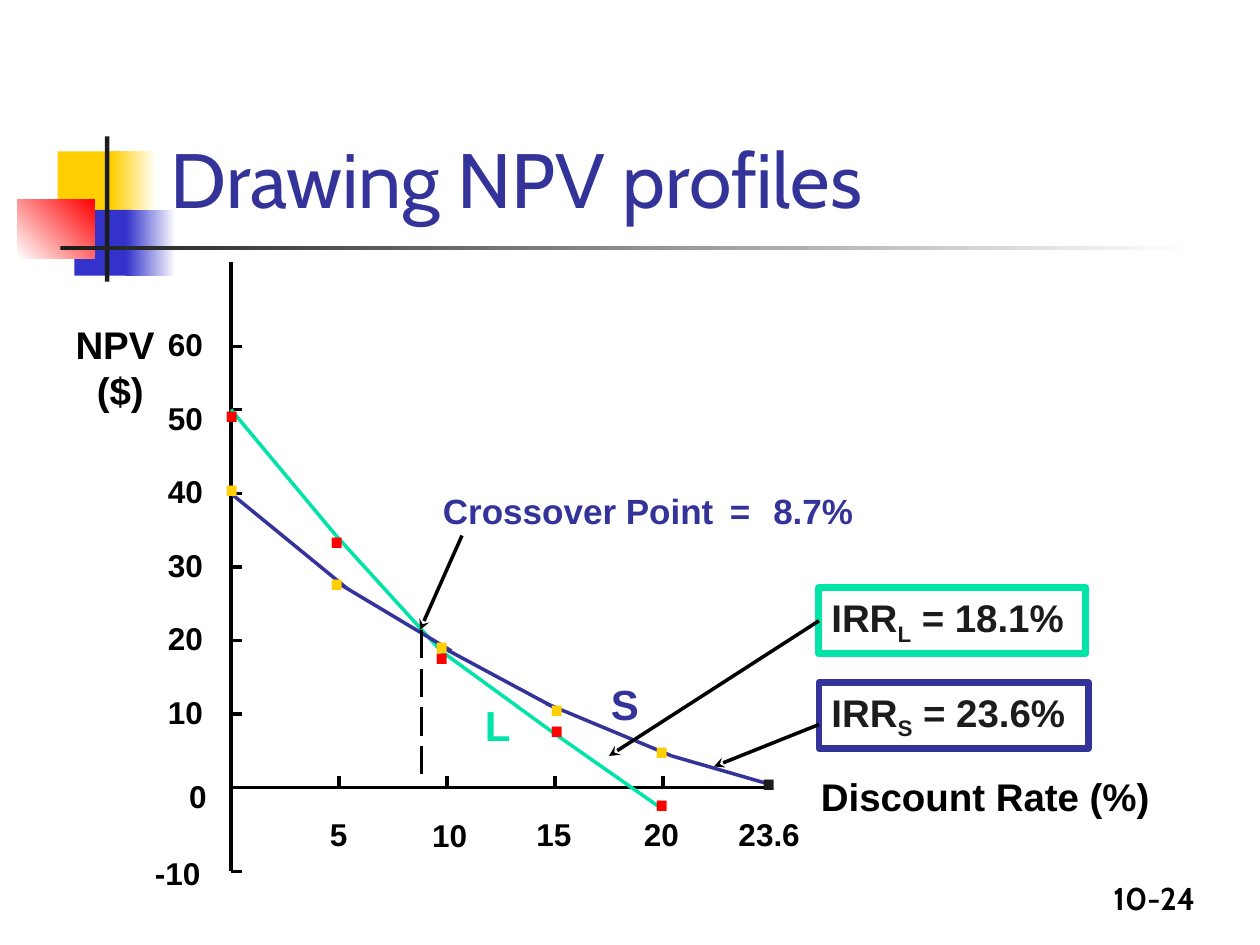
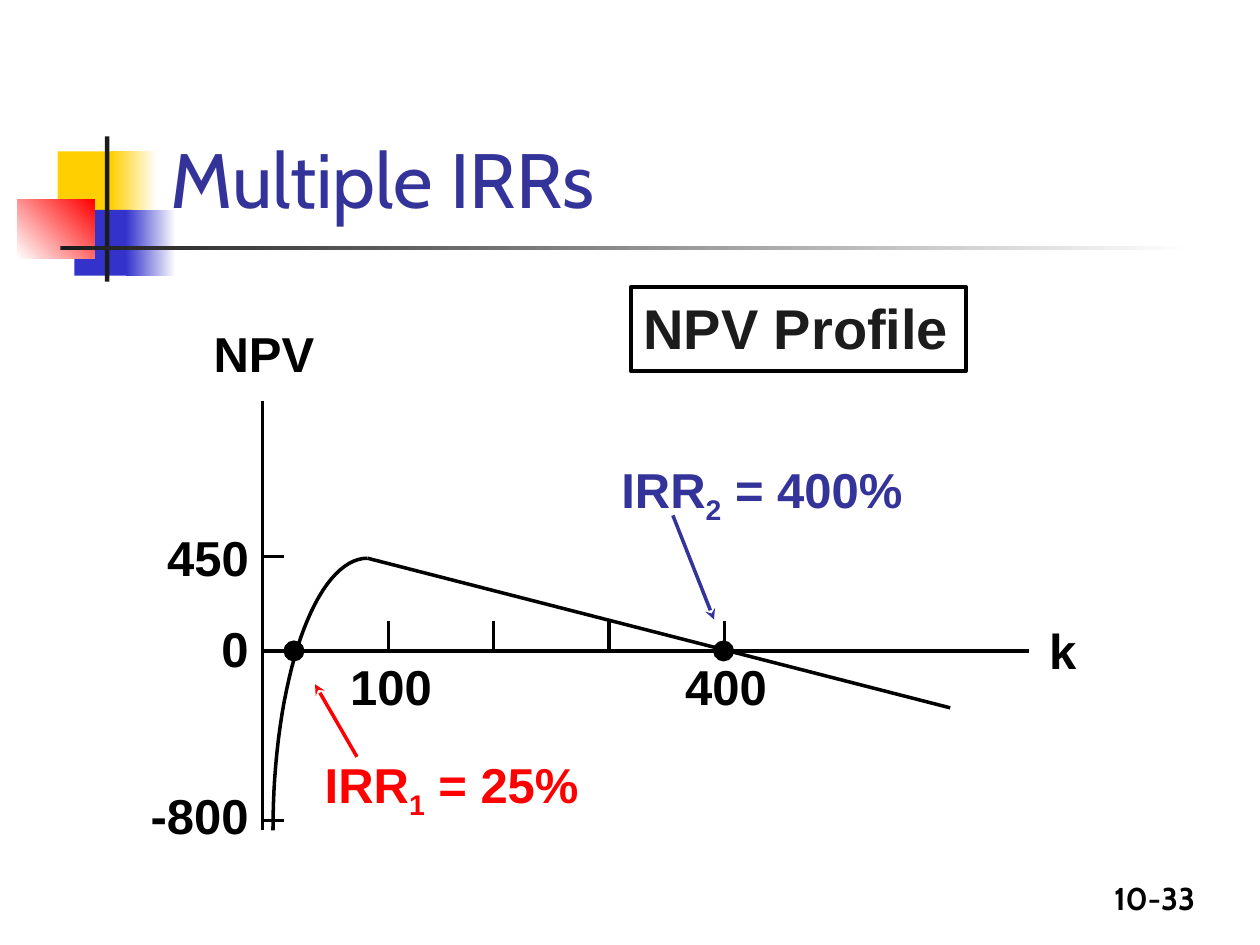
from dataclasses import dataclass
from itertools import pairwise
from math import cos, pi, sin

from lxml.etree import SubElement
from pptx import Presentation
from pptx.dml.color import RGBColor
from pptx.enum.dml import MSO_LINE
from pptx.enum.shapes import MSO_CONNECTOR, MSO_SHAPE
from pptx.enum.text import MSO_ANCHOR, MSO_AUTO_SIZE, PP_ALIGN
from pptx.oxml.ns import qn
from pptx.util import Pt


@dataclass(frozen=True)
class Theme:
    black: str = "000000"
    white: str = "FFFFFF"
    ink: str = "1C1C1C"
    navy: str = "333399"
    blue: str = "3333CC"
    gold: str = "FFCF01"
    red: str = "FF0000"
    mint: str = "00E4A8"
    title_font: str = "Cabin"
    body_font: str = "Arial"
    title: int = 44
    dot: int = 40
    heading: int = 32
    formula: int = 28
    series: int = 24
    caption: int = 22
    callout: int = 20
    small: int = 18
    line: float = 2
    frame: float = 4


@dataclass(frozen=True)
class Box:
    left: float
    top: float
    width: float
    height: float

    def inner(self, left, top, width, height):
        return Box(self.left + left, self.top + top, width, height)

    def point(self, x, y):
        return Pt(self.left + x), Pt(self.top + y)

    def lengths(self):
        return Pt(self.left), Pt(self.top), Pt(self.width), Pt(self.height)


THEME = Theme()
SUBSCRIPT = {"baseline": "-25000"}
WIDE = {"spc": "370"}


def color(code):
    return RGBColor.from_string(code)


def write(shape, paragraphs, size, ink, font=THEME.body_font, bold=True,
          align=PP_ALIGN.LEFT, anchor=MSO_ANCHOR.TOP, wrap=False, grow=True, inset=True):
    frame = shape.text_frame
    frame.word_wrap = wrap
    frame.auto_size = MSO_AUTO_SIZE.SHAPE_TO_FIT_TEXT if grow else MSO_AUTO_SIZE.NONE
    frame.vertical_anchor = anchor
    if not inset:
        frame.margin_left = frame.margin_right = frame.margin_top = frame.margin_bottom = 0
    for index, spans in enumerate(paragraphs):
        para = frame.add_paragraph() if index else frame.paragraphs[0]
        para.alignment = align
        para.font.name, para.font.size, para.font.bold = font, Pt(size), bold
        para.font.color.rgb = color(ink)
        for text, attributes in spans:
            span = para.add_run()
            span.text = text
            for name, value in attributes.items():
                span._r.get_or_add_rPr().set(name, value)


def plain(*lines):
    return [[(line, {})] for line in lines]


def irr(index, value):
    return [[("IRR", {}), (index, SUBSCRIPT), (f" = {value}", {})]]


def add_text(page, box, paragraphs, size, ink=THEME.black, **options):
    write(page.shapes.add_textbox(*box.lengths()), paragraphs, size, ink, **options)


def add_block(page, box, fill, kind=MSO_SHAPE.RECTANGLE, edge=None, weight=1):
    shape = page.shapes.add_shape(kind, *box.lengths())
    shape.shadow.inherit = False
    shape.fill.solid()
    shape.fill.fore_color.rgb = color(fill)
    if edge:
        shape.line.color.rgb = color(edge)
        shape.line.width = Pt(weight)
    else:
        shape.line.fill.background()
    return shape


def add_fade(page, box, start, end=THEME.white, angle=0):
    fill = add_block(page, box, start).fill
    fill.gradient()
    fill.gradient_angle = angle
    for stop, code in zip(fill.gradient_stops, (start, end)):
        stop.color.rgb = color(code)


def add_line(page, box, start, end, ink=THEME.black, arrow=False, dash=None):
    line = page.shapes.add_connector(
        MSO_CONNECTOR.STRAIGHT, *box.point(*start), *box.point(*end))
    line.line.color.rgb = color(ink)
    line.line.width = Pt(THEME.line)
    if dash:
        line.line.dash_style = dash
    properties = line._element.spPr
    if arrow:
        SubElement(properties.find(qn("a:ln")), qn("a:tailEnd"), type="stealth")
    SubElement(properties, qn("a:effectLst"))
    return line


def add_emblem(page, box):
    add_block(page, box.inner(23, 8.5, 34.5, 37.5), THEME.gold)
    add_fade(page, box.inner(53.5, 8.5, 26, 37.5), THEME.gold)
    add_block(page, box.inner(32.5, 42, 33, 37.5), THEME.blue)
    add_fade(page, box.inner(62, 42, 28.5, 37.5), THEME.blue)
    add_fade(page, box.inner(0, 36, 44, 33.5), THEME.white, THEME.red, 45)
    add_block(page, box.inner(50, 0, 2.5, 83), THEME.ink)
    add_fade(page, box.inner(24.5, 62.5, 648, 2.5), THEME.ink)


def add_page(deck, title, number):
    page = deck.slides.add_slide(deck.slide_layouts[6])
    add_emblem(page, Box(10, 78, 673, 83))
    add_text(page, Box(540, 498.5, 150, 29), plain(number), THEME.small,
             font=THEME.title_font, align=PP_ALIGN.RIGHT, wrap=True)
    add_text(page, Box(90.5, 16.5, 613.5, 115), plain(title), THEME.title, THEME.navy,
             font=THEME.title_font, bold=False, anchor=MSO_ANCHOR.BOTTOM,
             wrap=True, grow=False)
    return page


def add_profile_axes(page, box):
    zero, tick, step = 300, 6.5, 61.75
    add_line(page, box, (0, 0), (0, box.height))
    for y in (box.height, *range(zero, 131, -42), 84, 48):
        add_line(page, box, (0, y), (tick, y))
    add_line(page, box, (0, zero), (box.width, zero))
    for index in range(5):
        add_line(page, box, (index * step, zero), (index * step, zero - tick))

    tens = [(str(10 * n), -36, 288 - 42 * n, 20) for n in range(1, 7)]
    rates = [("5", 56.5, 316, 10), ("10", 115, 316.5, 20), ("15", 174.5, 316, 20),
             ("20", 236, 316, 20), ("23.6", 290, 316, 35)]
    for text, left, top, width in [("-10", -43.5, 338, 26), ("0", -24, 294, 10)] + tens + rates:
        add_text(page, box.inner(left, top, width, 21.5), plain(text), THEME.small, inset=False)
    add_text(page, box.inner(-96, 30, 65.5, 60), plain("NPV ", "($)"), THEME.caption,
             align=PP_ALIGN.CENTER)
    add_text(page, box.inner(330, 288, 203, 34), plain("Discount Rate (%)"), THEME.caption)


def add_profile_curves(page, box):
    long_project = [(0, 84), (60, 156), (120, 222), (186, 270), (246, 312)]
    short_project = [((0, 132), (66, 186)), ((60, 182.5), (126, 222)),
                     ((120, 219.5), (187, 255.5)), ((180, 252), (252, 282)),
                     ((252, 282), (309, 298.5))]
    for start, end in pairwise(long_project):
        add_line(page, box, start, end, THEME.mint)
    for start, end in short_project:
        add_line(page, box, start, end, THEME.navy)


def add_profile_dots(page, box):
    dots = {
        THEME.red: [(-12, 48), (48, 120), (108, 186), (174, 228), (234, 270)],
        THEME.gold: [(-12, 90), (48, 144), (108, 180), (174, 216), (234, 240)],
        THEME.ink: [(295, 258)],
    }
    for ink, places in dots.items():
        for left, top in places:
            add_text(page, box.inner(left, top, 26, 55.5), plain("."), THEME.dot, ink)


def add_profile_notes(page, box):
    frames = []
    for index, value, top, width, edge in (("L", "18.1%", 186, 152.5, THEME.mint),
                                           ("S", "23.6%", 240, 154, THEME.navy)):
        frame = add_block(page, box.inner(336, top, width, 37.5), THEME.white,
                          edge=edge, weight=THEME.frame)
        write(frame, irr(index, value), THEME.caption, THEME.ink)
        frames.append(frame)
    add_text(page, box.inner(114, 126, 300, 31),
             [[("Crossover Point", {}), (" = ", WIDE), ("8.7%", {})]],
             THEME.callout, THEME.navy, wrap=True)
    add_line(page, box, (109, 210), (109, 298.5), dash=MSO_LINE.LONG_DASH)
    add_line(page, box, (132, 156), (108, 210), arrow=True)
    add_line(page, box, (336, 264), (276, 288), arrow=True)
    pointer = add_line(page, box, (336, 204), (216, 282), arrow=True)
    pointer.begin_connect(frames[0], 1)
    add_text(page, box.inner(210, 234, 30, 36), plain("S"), THEME.series, THEME.navy)
    add_text(page, box.inner(138, 246, 29, 36), plain("L"), THEME.series, THEME.mint)


def add_multiple_axes(page, box):
    zero = 143
    add_line(page, box, (0, 0), (0, box.height))
    add_line(page, box, (0, zero), (box.width, zero))
    for y in (240, 89):
        add_line(page, box, (0, y), (12, y))
    for x in (72, 132, 198, 264):
        add_line(page, box, (x, zero - 17), (x, zero))
    for text, left, top, width in (
            ("450", -61.5, 69, 61), ("-800", -71, 216.5, 70.5), ("0", -30.5, 121, 30),
            ("400", 234.5, 142.5, 61), ("100", 43, 142.5, 61),
            ("k", 442.5, 122, 30), ("NPV", -35, -47.5, 72)):
        add_text(page, box.inner(left, top, width, 41), plain(text), THEME.formula)


def add_multiple_curve(page, box):
    peak_x, peak_y, radius_x, steps = 60, 90, 54, 32
    radius_y = box.height - peak_y
    arc = [box.point(peak_x - radius_x * cos(pi / 2 * n / steps),
                     box.height - radius_y * sin(pi / 2 * n / steps))
           for n in range(steps + 1)]
    builder = page.shapes.build_freeform(*arc[0])
    builder.add_line_segments(arc[1:], close=False)
    curve = builder.convert_to_shape()
    curve.shadow.inherit = False
    curve.fill.background()
    curve.line.color.rgb = color(THEME.black)
    curve.line.width = Pt(THEME.line)
    add_line(page, box, (peak_x, peak_y), (393, 175.5))
    for left in (12.5, 258):
        add_block(page, box.inner(left, 137.5, 11, 11), THEME.black, MSO_SHAPE.OVAL,
                  edge=THEME.black)


def add_multiple_notes(page, box):
    heading = add_block(page, box.inner(210.5, -65, 191.5, 48), THEME.white,
                        edge=THEME.black, weight=2.5)
    write(heading, plain("NPV Profile"), THEME.heading, THEME.ink)
    for index, value, left, top, width, ink, start, end in (
            ("2", "400%", 198, 30, 177, THEME.navy, (234.5, 65.5), (258, 125)),
            ("1", "25%", 28.5, 198.5, 161, THEME.red, (54, 203.5), (30, 162))):
        add_text(page, box.inner(left, top, width, 41), irr(index, value), THEME.formula, ink)
        add_line(page, box, start, end, ink, arrow=True)


def main():
    deck = Presentation()
    deck.slide_width, deck.slide_height = Pt(720), Pt(540)

    page = add_page(deck, "Drawing NPV profiles", "10-24")
    for add_region in (add_profile_axes, add_profile_curves, add_profile_notes, add_profile_dots):
        add_region(page, Box(132, 150, 309, 348))

    page = add_page(deck, "Multiple IRRs", "10-33")
    for add_region in (add_multiple_axes, add_multiple_curve, add_multiple_notes):
        add_region(page, Box(150, 229, 438, 245.5))

    deck.save("out.pptx")


if __name__ == "__main__":
    main()
